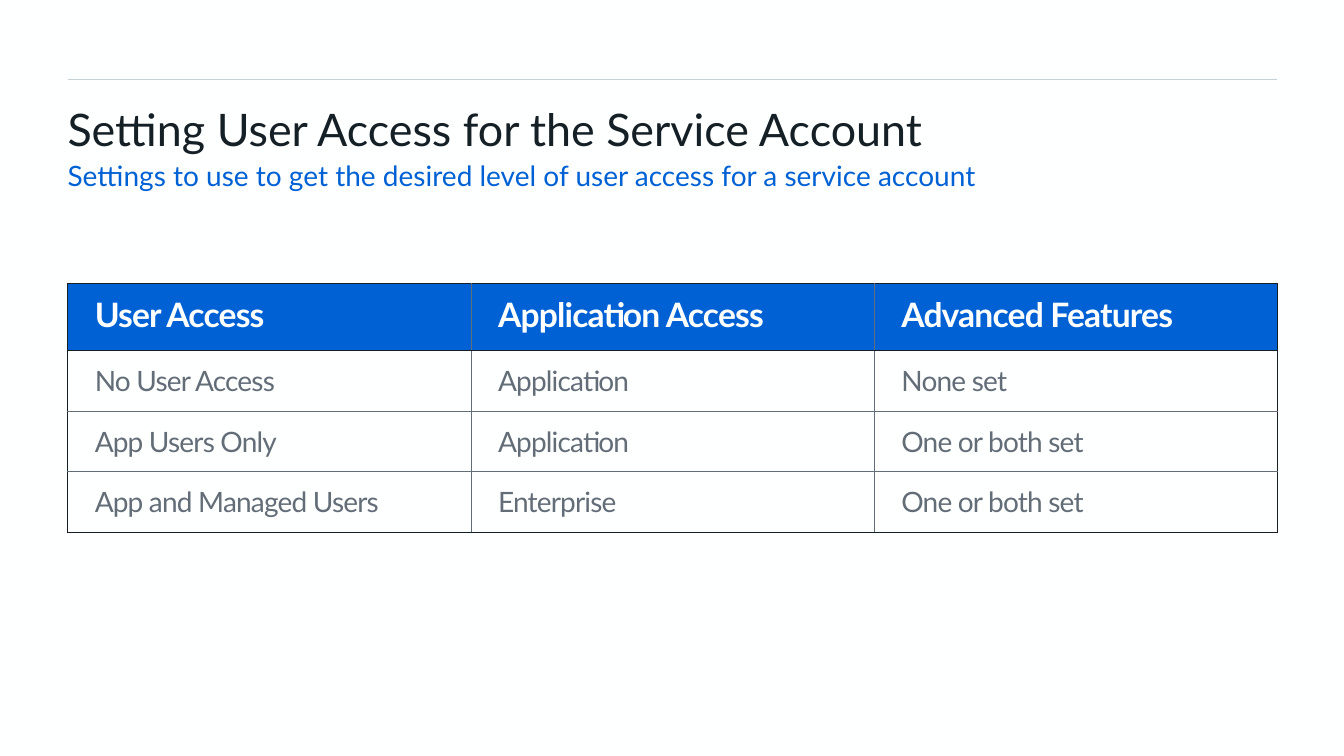
from dataclasses import dataclass

from pptx import Presentation
from pptx.dml.color import RGBColor
from pptx.enum.shapes import MSO_CONNECTOR
from pptx.enum.text import MSO_ANCHOR, MSO_AUTO_SIZE, PP_ALIGN
from pptx.oxml.ns import qn
from pptx.util import Emu, Pt
from lxml.etree import SubElement

PX = 9144  # 100 px to the inch
FONT = "Lato"
INK, GREY, BLUE, WHITE, RULE = "151F26", "636D78", "0061D5", "FEFFFF", "C3D1DA"
LEFT, WIDTH = 67, 1200


@dataclass
class Heading:
    idx: int
    text: str
    top: int
    height: int
    insets: tuple[int, int, int, int]
    size: int
    color: str
    anchor: MSO_ANCHOR
    space_after: int


HEADINGS = [
    Heading(0, "Setting User Access for the Service Account",
            98, 60, (0, 0, 0, 0), 32, INK, MSO_ANCHOR.MIDDLE, 0),
    Heading(1, "Settings to use to get the desired level of user access for a service account",
            157, 55, (0, 0, 25, 5), 20, BLUE, MSO_ANCHOR.TOP, 8),
]
ROWS = [
    ("User Access", "Application Access", "Advanced Features"),
    ("No User Access", "Application", "None set"),
    ("App Users Only", "Application", "One or both set"),
    ("App and Managed Users", "Enterprise", "One or both set"),
]
ROW_HEIGHTS = [67, 60, 60, 60]


def px(n: int) -> Emu:
    return Emu(n * PX)


def rgb(color: str) -> RGBColor:
    return RGBColor.from_string(color)


def style_run(r, size: int, color: str, bold: bool = False) -> None:
    r.font.name, r.font.size, r.font.bold = FONT, Pt(size), bold
    r.font.color.rgb = rgb(color)


def set_margins(box, insets: tuple[int, int, int, int]) -> None:
    box.margin_left, box.margin_top, box.margin_right, box.margin_bottom = map(px, insets)


def draw_heading(s, h: Heading) -> None:
    sp = s.placeholders[h.idx]
    sp.left, sp.top, sp.width, sp.height = map(px, (LEFT, h.top, WIDTH, h.height))
    tf = sp.text_frame
    tf.text = h.text
    tf.word_wrap, tf.auto_size, tf.vertical_anchor = True, MSO_AUTO_SIZE.NONE, h.anchor
    set_margins(tf, h.insets)
    p = tf.paragraphs[0]
    pPr = p._p.get_or_add_pPr()
    pPr.set("marL", "0")
    pPr.set("indent", "0")
    SubElement(pPr, qn("a:buNone"))
    p.alignment = PP_ALIGN.LEFT
    p.space_before, p.space_after = Pt(0), Pt(h.space_after)
    style_run(p.runs[0], h.size, h.color)


def add_border(tcPr, side: str, color: str) -> None:
    ln = SubElement(tcPr, qn(f"a:{side}"), w=str(Pt(0.5)))
    fill = SubElement(ln, qn("a:solidFill"))
    SubElement(fill, qn("a:srgbClr"), val=color)


def draw_cell(cell, text: str, row: int, col: int) -> None:
    header = row == 0
    # Dark outer frame and header rule, grey inner grid
    tcPr = cell._tc.get_or_add_tcPr()
    dark_sides = {"lnL": col == 0, "lnR": col == len(ROWS[0]) - 1,
                  "lnT": row <= 1, "lnB": row in (0, len(ROWS) - 1)}
    for side, dark in dark_sides.items():
        add_border(tcPr, side, INK if dark else GREY)
    if header:
        cell.fill.solid()
        cell.fill.fore_color.rgb = rgb(BLUE)
    else:
        cell.fill.background()
    set_margins(cell, (27, 13, 14, 13))
    cell.vertical_anchor = MSO_ANCHOR.MIDDLE
    cell.text_frame.text = text
    p = cell.text_frame.paragraphs[0]
    p.line_spacing = 0.9 if header else 1.0
    r = p.runs[0]
    style_run(r, 24 if header else 20, WHITE if header else GREY, header)
    r._r.get_or_add_rPr().set("spc", "-60")


def draw_table(s) -> None:
    n_cols = len(ROWS[0])
    table = s.shapes.add_table(len(ROWS), n_cols, px(LEFT), px(281),
                               px(WIDTH), px(sum(ROW_HEIGHTS))).table
    table.first_row = table.horz_banding = False
    for column in table.columns:
        column.width = px(WIDTH // n_cols)
    for row, (texts, height) in enumerate(zip(ROWS, ROW_HEIGHTS)):
        table.rows[row].height = px(height)
        for col, text in enumerate(texts):
            draw_cell(table.cell(row, col), text, row, col)


def draw_rule(s) -> None:
    line = s.shapes.add_connector(MSO_CONNECTOR.STRAIGHT, px(LEFT), px(79),
                                  px(LEFT + WIDTH), px(79))
    line.line.color.rgb = rgb(RULE)
    line.line.width = Pt(0.5)
    SubElement(line._element.spPr, qn("a:effectLst"))


def main() -> None:
    prs = Presentation()
    prs.slide_width, prs.slide_height = px(1333), px(750)
    s = prs.slides.add_slide(prs.slide_layouts[1])
    s.background.fill.solid()
    s.background.fill.fore_color.rgb = rgb(WHITE)
    draw_rule(s)
    for heading in HEADINGS:
        draw_heading(s, heading)
    draw_table(s)
    prs.save("out.pptx")


if __name__ == "__main__":
    main()
